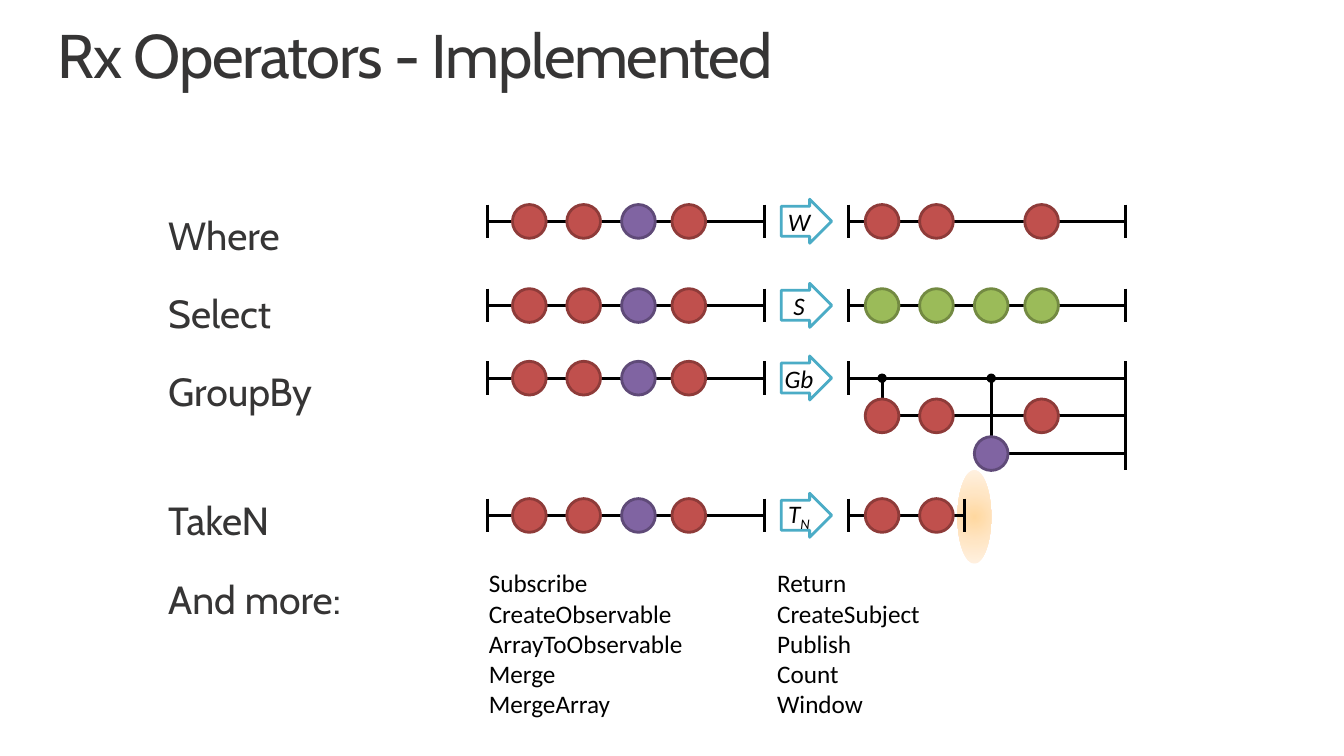
"""Build a slide of marble diagrams for the implemented Rx operators."""
from pptx import Presentation
from pptx.dml.color import RGBColor
from pptx.enum.shapes import MSO_CONNECTOR, MSO_SHAPE
from pptx.enum.text import MSO_ANCHOR, PP_ALIGN
from pptx.oxml import parse_xml
from pptx.oxml.ns import nsdecls, qn
from pptx.util import Cm, Pt

INPUT_START, INPUT_END = 12.28, 19.26
OUTPUT_START, OUTPUT_END = 21.38, 28.36
TAKEN_END = 24.31
ARROW_LEFT = 19.69
MARBLE_X = [13.34, 14.71, 16.09, 17.36]
OUTPUT_X = [x + 8.89 for x in MARBLE_X]
MARBLE = 0.85
RED, PURPLE, GREEN = ("C0504D", "8E3B39"), ("8064A2", "5F4A78"), ("9BBB59", "738A42")
INPUT_COLORS = [RED, RED, PURPLE, RED]
WHERE_Y, SELECT_Y, GROUP_Y, TAKEN_Y = 5.58, 7.7, 9.53, 12.99
RED_GROUP_Y, PURPLE_GROUP_Y = 10.48, 11.43


def color(hex_string):
    return RGBColor.from_string(hex_string)


def write(frame, text, font="Calibri", size=18, ink="000000", italic=False, align=PP_ALIGN.LEFT,
          line_spacing=1.0, before=0, tracking=0, subscript=""):
    for index, line in enumerate(text.split("\n")):
        paragraph = frame.add_paragraph() if index else frame.paragraphs[0]
        paragraph.alignment = align
        paragraph.line_spacing = line_spacing
        paragraph.space_before = Pt(before)
        for part, baseline in ((line, 0), (subscript, -25000)):
            if not part:
                continue
            run = paragraph.add_run()
            run.text = part
            run.font.name, run.font.size = font, Pt(size)
            run.font.italic = italic
            run.font.color.rgb = color(ink)
            properties = run._r.get_or_add_rPr()
            if baseline:
                properties.set("baseline", str(baseline))
            if tracking:
                properties.set("spc", str(tracking))


class MarbleSlide:
    """Hold the slide and the style of its marble diagrams."""

    ink = "000000"
    accent = "4BACC6"
    line_width = 2.25
    outline_width = 2

    def __init__(self, slide):
        self.slide = slide

    def text(self, text, left, top, width, height, inset=None, columns=1, **style):
        frame = self.slide.shapes.add_textbox(Cm(left), Cm(top), Cm(width), Cm(height)).text_frame
        frame.word_wrap = True
        if inset is not None:
            frame.margin_left = frame.margin_right = Cm(inset)
            frame.margin_top = frame.margin_bottom = Cm(inset)
        if columns > 1:
            frame._txBody.find(qn("a:bodyPr")).set("numCol", str(columns))
        write(frame, text, **style)
        return frame

    def line(self, x1, y1, x2, y2, dot=False):
        connector = self.slide.shapes.add_connector(
            MSO_CONNECTOR.STRAIGHT, Cm(x1), Cm(y1), Cm(x2), Cm(y2))
        connector.line.color.rgb = color(self.ink)
        connector.line.width = Pt(self.line_width)
        if dot:
            connector.line._get_or_add_ln().append(
                parse_xml(f'<a:headEnd {nsdecls("a")} type="oval"/>'))
        connector._element.spPr.append(parse_xml(f'<a:effectLst {nsdecls("a")}/>'))

    def tick(self, x, y):
        self.line(x, y - MARBLE / 2, x, y + MARBLE / 2)

    def shape(self, kind, left, top, width, height, fill, outline):
        shape = self.slide.shapes.add_shape(kind, Cm(left), Cm(top), Cm(width), Cm(height))
        shape.shadow.inherit = False
        shape.fill.solid()
        shape.fill.fore_color.rgb = color(fill)
        shape.line.color.rgb = color(outline)
        shape.line.width = Pt(self.outline_width)
        return shape

    def marbles(self, centers, y, colors):
        for x, (fill, outline) in zip(centers, colors):
            self.shape(MSO_SHAPE.OVAL, x - MARBLE / 2, y - MARBLE / 2, MARBLE, MARBLE,
                       fill, outline)

    def arrow(self, label, y, subscript=""):
        arrow = self.shape(MSO_SHAPE.RIGHT_ARROW, ARROW_LEFT, y - 0.56, 1.27, 1.11,
                           "FFFFFF", self.accent)
        arrow.adjustments[0] = 0.68
        arrow.adjustments[1] = 0.5
        frame = arrow.text_frame
        frame.word_wrap = False
        frame.vertical_anchor = MSO_ANCHOR.MIDDLE
        write(frame, label, italic=True, align=PP_ALIGN.CENTER, subscript=subscript)

    def operator(self, label, y, output_end=OUTPUT_END, subscript=""):
        for start, end in ((INPUT_START, INPUT_END), (OUTPUT_START, output_end)):
            self.line(start, y, end, y)
            self.tick(start, y)
        self.tick(INPUT_END, y)
        self.arrow(label, y, subscript)
        self.marbles(MARBLE_X, y, INPUT_COLORS)

    def group(self, x, y):
        self.line(x, GROUP_Y, x, y, dot=True)
        self.line(x, y, OUTPUT_END, y)

    def halo(self, left, top, width, height):
        halo = self.slide.shapes.add_shape(
            MSO_SHAPE.OVAL, Cm(left), Cm(top), Cm(width), Cm(height))
        halo.shadow.inherit = False
        halo.line.fill.background()
        stops = "".join(
            f'<a:gs pos="{position}"><a:srgbClr val="{tint}"/></a:gs>'
            for position, tint in ((0, "FFD8A0"), (50000, "FFE6C5"), (100000, "FFF2E3")))
        halo._element.spPr.insert(2, parse_xml(
            f'<a:gradFill {nsdecls("a")} rotWithShape="1"><a:gsLst>{stops}</a:gsLst>'
            '<a:path path="circle"><a:fillToRect l="50000" t="50000" r="50000" b="50000"/>'
            '</a:path></a:gradFill>'))


def main():
    presentation = Presentation()
    presentation.slide_width, presentation.slide_height = Cm(33.87), Cm(19.05)
    page = MarbleSlide(presentation.slides.add_slide(presentation.slide_layouts[6]))

    heading = {"font": "Cabin", "ink": "363535", "inset": 0}
    page.text("Rx Operators - Implemented", 1.45, 0.64, 30.99, 1.7,
              size=44, line_spacing=0.9, tracking=-100, **heading)
    names = page.text("Where\nSelect\nGroupBy\nTakeN\nAnd more:", 4.24, 4.72, 7.19, 12.57,
                      size=28, line_spacing=1.5, before=5.6, **heading)
    names.paragraphs[3].space_before = Pt(41.6)

    page.halo(24.13, 11.85, 0.85, 2.35)

    page.operator("W", WHERE_Y)
    page.tick(OUTPUT_END, WHERE_Y)
    page.marbles([OUTPUT_X[0], OUTPUT_X[1], OUTPUT_X[3]], WHERE_Y, [RED] * 3)

    page.operator("S", SELECT_Y)
    page.tick(OUTPUT_END, SELECT_Y)
    page.marbles(OUTPUT_X, SELECT_Y, [GREEN] * 4)

    page.operator("Gb", GROUP_Y)
    page.group(OUTPUT_X[0], RED_GROUP_Y)
    page.marbles([OUTPUT_X[0], OUTPUT_X[1], OUTPUT_X[3]], RED_GROUP_Y, [RED] * 3)
    page.group(OUTPUT_X[2], PURPLE_GROUP_Y)
    page.marbles([OUTPUT_X[2]], PURPLE_GROUP_Y, [PURPLE])
    page.line(OUTPUT_END, GROUP_Y - MARBLE / 2, OUTPUT_END, PURPLE_GROUP_Y + MARBLE / 2)

    page.operator("T", TAKEN_Y, output_end=TAKEN_END, subscript="N")
    page.marbles(OUTPUT_X[:2], TAKEN_Y, [RED] * 2)
    page.tick(TAKEN_END, TAKEN_Y)

    page.text("Subscribe\nCreateObservable\nArrayToObservable\nMerge\nMergeArray\n"
              "Return\nCreateSubject\nPublish\nCount\nWindow", 12.07, 14.18, 15.03, 4.13, columns=2)

    presentation.save("out.pptx")


if __name__ == "__main__":
    main()
